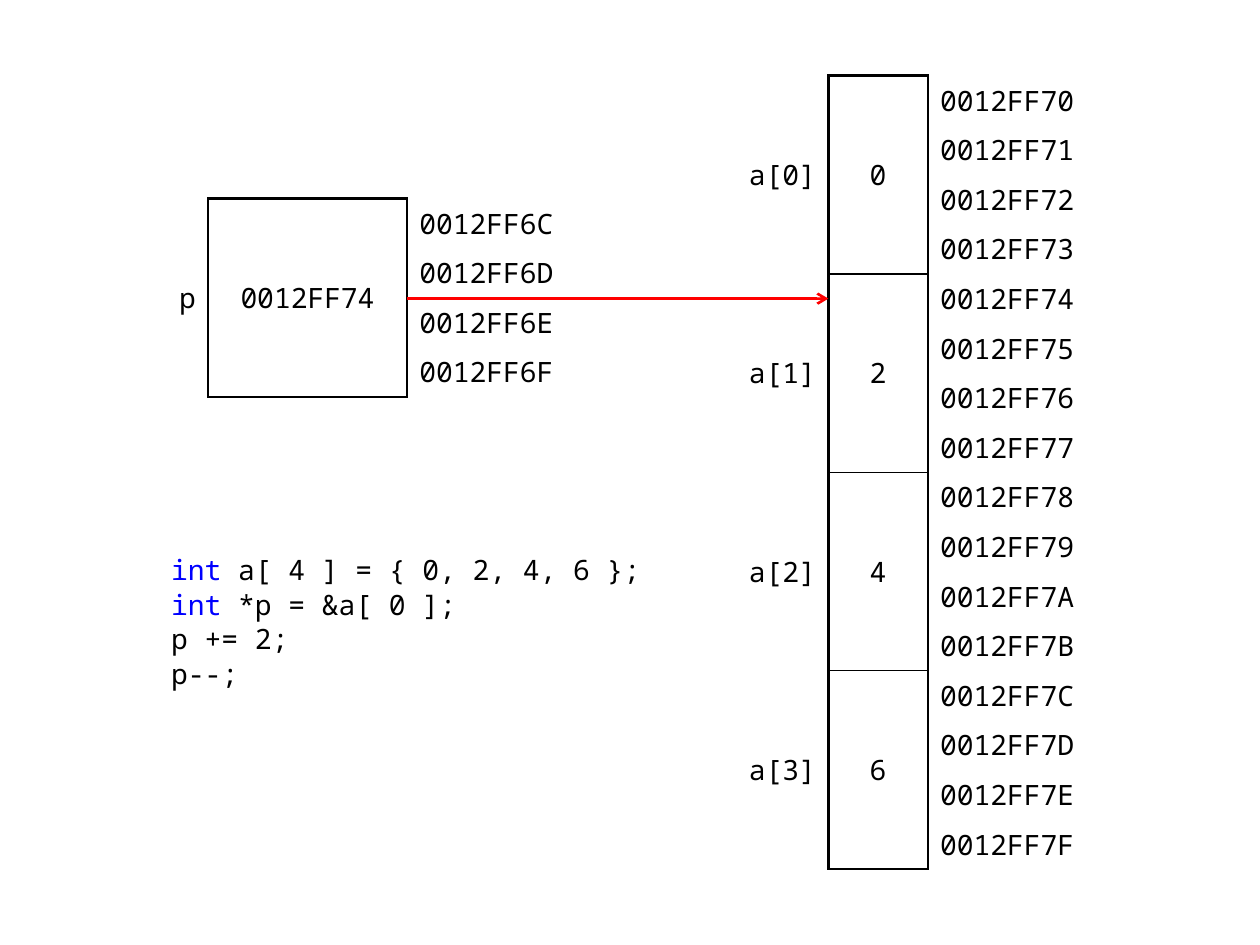
from dataclasses import dataclass

from lxml import etree
from pptx import Presentation
from pptx import util as u
from pptx.dml.color import RGBColor
from pptx.enum import shapes, text
from pptx.oxml.ns import qn

COLORS = {"text": "000000", "keyword": "0000FF", "pointer": "FF0000"}
FONT = "Noto Sans Mono"
BYTES_PER_INT = 4
ROW_HEIGHT = 1.0
OUTER, INNER = 1.5, 1.0
NO_STYLE_NO_GRID = "{2D5ABB26-0587-4C30-8999-92F81FD0307C}"


@dataclass
class Variable:
    name: str
    value: str


@dataclass
class MemoryBlock:
    """Consecutive variables; left, top and widths are in centimetres."""
    variables: list[Variable]
    first_address: int
    left: float
    top: float
    widths: tuple[float, float, float]


ARRAY = MemoryBlock(
    [Variable(f"a[{index}]", str(2 * index)) for index in range(4)],
    0x0012FF70, 14.7, 1.52, (2, 2, 3.5))
POINTER = MemoryBlock(
    [Variable("p", "0012FF74")], 0x0012FF6C, 3.2, 4.0, (1, 4, 3.5))

CODE = [
    [("int ", "keyword"), ("a[ 4 ] = { 0, 2, 4, 6 };", "text")],
    [("int ", "keyword"), ("*p = &a[ 0 ];", "text")],
    [("p += 2;", "text")],
    [("p--;", "text")],
]


def add_run(paragraph, words: str, color: str = "text") -> None:
    run = paragraph.add_run()
    run.text = words
    run.font.name = FONT
    run.font.size = u.Pt(16)
    run.font.color.rgb = RGBColor.from_string(COLORS[color])


def add_border(cell, side: str, width: float) -> None:
    """Draw one edge of a cell; side is L, R, T or B, in that order."""
    properties = cell._tc.get_or_add_tcPr()
    line = etree.SubElement(properties, qn(f"a:ln{side}"), w=str(u.Pt(width)))
    fill = etree.SubElement(line, qn("a:solidFill"))
    etree.SubElement(fill, qn("a:srgbClr"), val=COLORS["text"])


def write_cell(cell, words: str, alignment) -> None:
    paragraph = cell.text_frame.paragraphs[0]
    paragraph.alignment = alignment
    add_run(paragraph, words)


def add_value_borders(table, first: int, last: int, row_count: int) -> None:
    """Box a merged value cell, heavier on the outside of the block."""
    top_width = OUTER if first == 0 else INNER
    bottom_width = OUTER if last == row_count - 1 else INNER
    for row in range(first, last + 1):
        cell = table.cell(row, 1)
        add_border(cell, "L", OUTER)
        add_border(cell, "R", OUTER)
        if row == first:
            add_border(cell, "T", top_width)
        if row in (first, last):
            add_border(cell, "B", bottom_width)


def add_memory_block(slide, block: MemoryBlock) -> None:
    row_count = BYTES_PER_INT * len(block.variables)
    frame = slide.shapes.add_table(
        row_count, len(block.widths), u.Cm(block.left), u.Cm(block.top),
        u.Cm(sum(block.widths)), u.Cm(ROW_HEIGHT * row_count))
    table = frame.table
    table.first_row = table.horz_banding = False
    table._tbl.tblPr.find(qn("a:tableStyleId")).text = NO_STYLE_NO_GRID
    for column, width in zip(table.columns, block.widths):
        column.width = u.Cm(width)
    for row in table.rows:
        row.height = u.Cm(ROW_HEIGHT)

    for index, variable in enumerate(block.variables):
        first = index * BYTES_PER_INT
        last = first + BYTES_PER_INT - 1
        for column in (0, 1):
            table.cell(first, column).merge(table.cell(last, column))
        write_cell(table.cell(first, 0), variable.name, text.PP_ALIGN.RIGHT)
        write_cell(table.cell(first, 1), variable.value, text.PP_ALIGN.CENTER)
        add_value_borders(table, first, last, row_count)

    for row in range(row_count):
        write_cell(table.cell(row, 2), f"{block.first_address + row:08X}",
                   text.PP_ALIGN.LEFT)
    for cell in table.iter_cells():
        cell.fill.background()
        cell.vertical_anchor = text.MSO_ANCHOR.MIDDLE
        cell.margin_top = cell.margin_bottom = u.Cm(0.05)


def add_code(slide) -> None:
    box = slide.shapes.add_textbox(u.Cm(3.2), u.Cm(11.02), u.Cm(10), u.Cm(3.5))
    frame = box.text_frame
    frame.word_wrap = False
    for index, line in enumerate(CODE):
        paragraph = frame.add_paragraph() if index else frame.paragraphs[0]
        paragraph.space_before = u.Pt(0.5 if index else 0)
        for words, color in line:
            add_run(paragraph, words, color)


def add_pointer_arrow(slide) -> None:
    start = POINTER.left + sum(POINTER.widths[:2])
    end = ARRAY.left + ARRAY.widths[0]
    height = 6.02
    arrow = slide.shapes.add_connector(
        shapes.MSO_CONNECTOR.STRAIGHT,
        u.Cm(start), u.Cm(height), u.Cm(end), u.Cm(height))
    arrow.line.color.rgb = RGBColor.from_string(COLORS["pointer"])
    arrow.line.width = u.Pt(1.5)
    etree.SubElement(arrow.line._get_or_add_ln(), qn("a:tailEnd"), type="arrow")
    etree.SubElement(arrow._element.spPr, qn("a:effectLst"))


def main() -> None:
    presentation = Presentation()
    presentation.slide_width = u.Cm(25.4)
    presentation.slide_height = u.Cm(19.05)
    slide = presentation.slides.add_slide(presentation.slide_layouts[6])
    add_code(slide)
    for block in (ARRAY, POINTER):
        add_memory_block(slide, block)
    add_pointer_arrow(slide)
    presentation.save("out.pptx")


if __name__ == "__main__":
    main()
